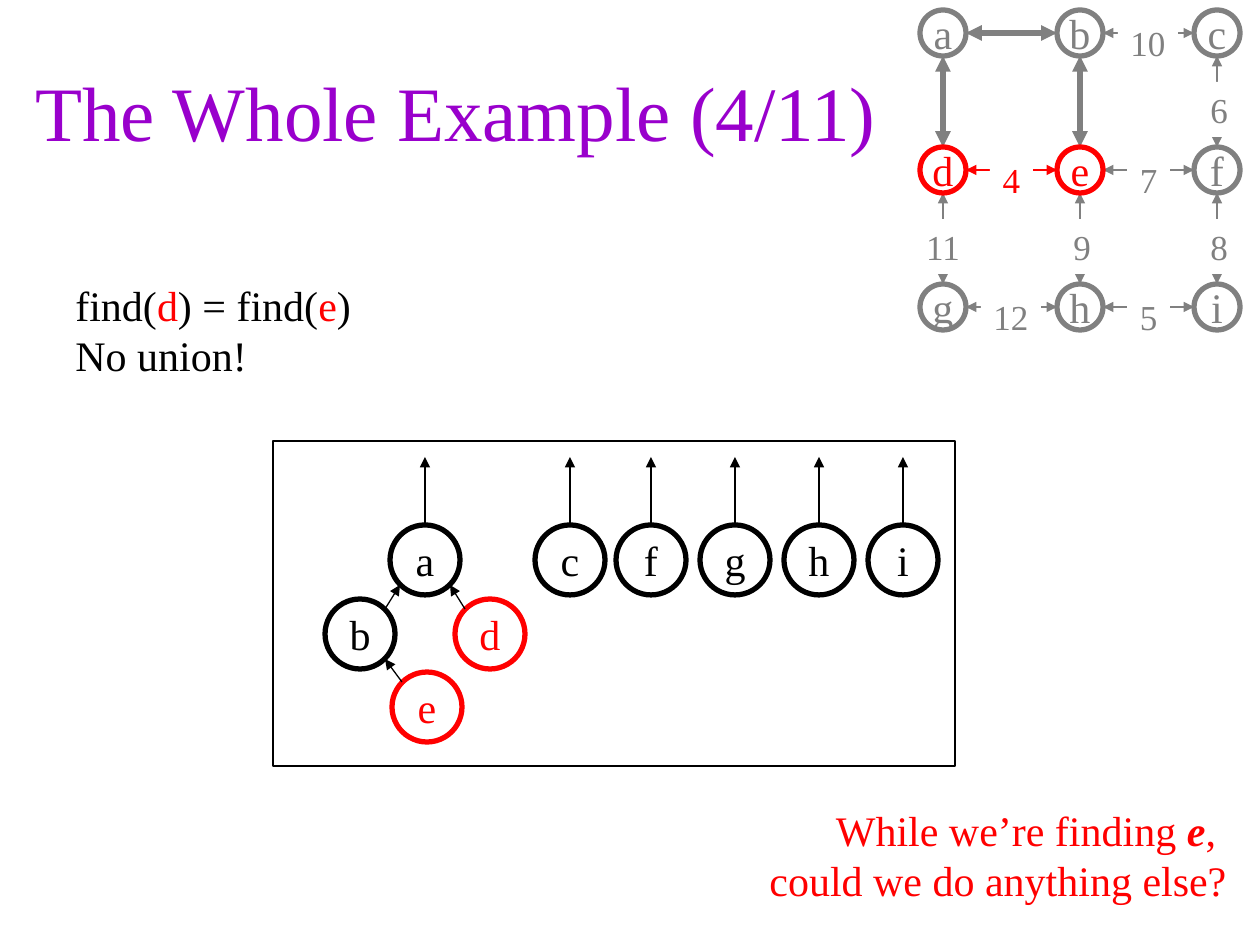
"""Build the slide showing the graph, the union-find forest and its comments."""
from dataclasses import dataclass
from typing import NamedTuple

from lxml.etree import SubElement
from pptx import Presentation
from pptx.dml.color import RGBColor
from pptx.enum.shapes import MSO_CONNECTOR, MSO_SHAPE
from pptx.enum.text import MSO_ANCHOR, PP_ALIGN
from pptx.oxml.ns import qn
from pptx.util import Emu, Pt

FONT = "Times New Roman"
COLORS = {
    "title": "9900CC",
    "ink": "000000",
    "active": "FF0000",
    "faded": "808080",
    "paper": "FFFFFF",
}
GRID_X, GRID_Y, PITCH = 943, 33, 137
VERTEX, TREE_NODE = 46, 70
THICK, THIN = 3, 0.75


class Span(NamedTuple):
    text: str
    color: str = "ink"
    strong: bool = False


class Point(NamedTuple):
    x: int
    y: int


@dataclass
class Edge:
    start: str
    end: str
    weight: str = ""
    color: str = "faded"


@dataclass
class TreeNode:
    label: str
    x: int
    y: int = 560
    parent: str = ""
    color: str = "ink"


EDGES = [
    Edge("a", "b"), Edge("a", "d"), Edge("b", "e"),
    Edge("d", "e", "4", "active"), Edge("d", "g", "11"),
    Edge("b", "c", "10"), Edge("e", "f", "7"), Edge("e", "h", "9"),
    Edge("c", "f", "6"), Edge("f", "i", "8"),
    Edge("g", "h", "12"), Edge("h", "i", "5"),
]
FOREST = [
    TreeNode("a", 425), TreeNode("c", 570), TreeNode("f", 651),
    TreeNode("g", 735), TreeNode("h", 819), TreeNode("i", 903),
    TreeNode("b", 360, 634, "a"),
    TreeNode("d", 490, 634, "a", "active"),
    TreeNode("e", 427, 707, "b", "active"),
]
VERTICES = {
    label: Point(GRID_X + PITCH * (index % 3), GRID_Y + PITCH * (index // 3))
    for index, label in enumerate("abcdefghi")
}


def px(length: int) -> Emu:
    """Turn pixels into EMU at 126 pixels to the inch."""
    return Emu(round(length * 914400 / 126))


def rgb(color: str) -> RGBColor:
    """Look up a named colour."""
    return RGBColor.from_string(COLORS[color])


def write(shape, lines: list[list[Span]], size: int, align=PP_ALIGN.CENTER,
          anchor=MSO_ANCHOR.TOP, wrap: bool = False) -> None:
    """Fill a shape with lines of coloured spans."""
    frame = shape.text_frame
    frame.word_wrap = wrap
    frame.vertical_anchor = anchor
    for index, spans in enumerate(lines):
        paragraph = frame.add_paragraph() if index else frame.paragraphs[0]
        paragraph.alignment = align
        for span in spans:
            run = paragraph.add_run()
            run.text = span.text
            run.font.name = FONT
            run.font.size = Pt(size)
            run.font.color.rgb = rgb(span.color)
            run.font.bold = run.font.italic = span.strong


def add_text(slide, left: int, top: int, width: int, height: int,
             lines: list[list[Span]], size: int, **layout) -> None:
    """Add a text box."""
    box = slide.shapes.add_textbox(px(left), px(top), px(width), px(height))
    write(box, lines, size, **layout)


def add_panel(slide, left: int, top: int, width: int, height: int):
    """Add a white rectangle without an outline."""
    panel = slide.shapes.add_shape(
        MSO_SHAPE.RECTANGLE, px(left), px(top), px(width), px(height))
    panel.shadow.inherit = False
    panel.fill.solid()
    panel.fill.fore_color.rgb = rgb("paper")
    panel.line.fill.background()
    return panel


def add_circle(slide, center: Point, diameter: int, label: str, color: str) -> None:
    """Add a labelled ring around a centre point."""
    radius = diameter // 2
    circle = slide.shapes.add_shape(
        MSO_SHAPE.OVAL, px(center.x - radius), px(center.y - radius),
        px(diameter), px(diameter))
    circle.shadow.inherit = False
    circle.fill.background()
    circle.line.color.rgb = rgb(color)
    circle.line.width = Pt(THICK)
    write(circle, [[Span(label, color)]], 24, anchor=MSO_ANCHOR.MIDDLE)


def add_arrow(slide, start: Point, end: Point, color: str = "ink",
              width: float = THIN, both: bool = False) -> None:
    """Add a straight arrow with a head at its end or at both ends."""
    arrow = slide.shapes.add_connector(
        MSO_CONNECTOR.STRAIGHT, px(start.x), px(start.y), px(end.x), px(end.y))
    arrow.line.color.rgb = rgb(color)
    arrow.line.width = Pt(width)
    outline = arrow.line._get_or_add_ln()
    for tag in ("a:headEnd", "a:tailEnd") if both else ("a:tailEnd",):
        SubElement(outline, qn(tag), type="triangle")
    SubElement(arrow._element.spPr, qn("a:effectLst"))


def draw_edge(slide, edge: Edge) -> None:
    """Draw a two-way arrow between neighbouring vertices."""
    start, end = VERTICES[edge.start], VERTICES[edge.end]
    radius = VERTEX // 2
    dx, dy = (radius, 0) if start.y == end.y else (0, radius)
    add_arrow(slide, Point(start.x + dx, start.y + dy),
              Point(end.x - dx, end.y - dy), edge.color,
              THIN if edge.weight else THICK, both=True)


def draw_weight(slide, edge: Edge) -> None:
    """Draw the weight over the middle of its edge."""
    start, end = VERTICES[edge.start], VERTICES[edge.end]
    vertical = start.x == end.x
    width = 26 + 17 * len(edge.weight)
    if vertical:
        width = 62 if len(edge.weight) > 1 else 38
    top = start.y + 49 if vertical else start.y - 18
    label = add_panel(slide, (start.x + end.x - width) // 2, top, width, 55)
    write(label, [[Span(edge.weight, edge.color)]], 20, wrap=vertical)


def draw_graph(slide) -> None:
    """Draw the weighted graph."""
    for edge in EDGES:
        draw_edge(slide, edge)
    for label, center in VERTICES.items():
        add_circle(slide, center, VERTEX, label,
                   "active" if label in "de" else "faded")
    for edge in EDGES:
        if edge.weight:
            draw_weight(slide, edge)


def draw_forest(slide) -> None:
    """Draw the framed trees with arrows pointing to parents."""
    frame = add_panel(slide, 273, 441, 682, 325)
    frame.line.color.rgb = rgb("ink")
    frame.line.width = Pt(THIN)
    nodes = {node.label: node for node in FOREST}
    for node in FOREST:
        add_circle(slide, Point(node.x, node.y), TREE_NODE, node.label, node.color)
        if node.parent:
            parent = nodes[node.parent]
            side = 25 if parent.x > node.x else -25
            add_arrow(slide, Point(node.x + side, node.y - 25),
                      Point(parent.x - side, parent.y + 25))
        else:
            add_arrow(slide, Point(node.x, node.y - 35), Point(node.x, node.y - 103))


def main() -> None:
    """Build and save the slide."""
    deck = Presentation()
    deck.slide_width, deck.slide_height = px(1260), px(945)
    slide = deck.slides.add_slide(deck.slide_layouts[6])
    add_text(slide, 10, 32, 892, 157, [[Span("The Whole Example (4/11)", "title")]],
             44, anchor=MSO_ANCHOR.MIDDLE, wrap=True)
    add_text(slide, 63, 273, 301, 113, [
        [Span("find("), Span("d", "active"), Span(") = find("),
         Span("e", "active"), Span(")")],
        [Span("No union!")],
    ], 24, align=PP_ALIGN.LEFT)
    draw_graph(slide)
    draw_forest(slide)
    add_text(slide, 756, 798, 483, 113, [
        [Span("While we’re finding ", "active"), Span("e", "active", True),
         Span(", ", "active")],
        [Span("could we do anything else?", "active")],
    ], 24, align=PP_ALIGN.RIGHT)
    deck.save("out.pptx")


if __name__ == "__main__":
    main()
